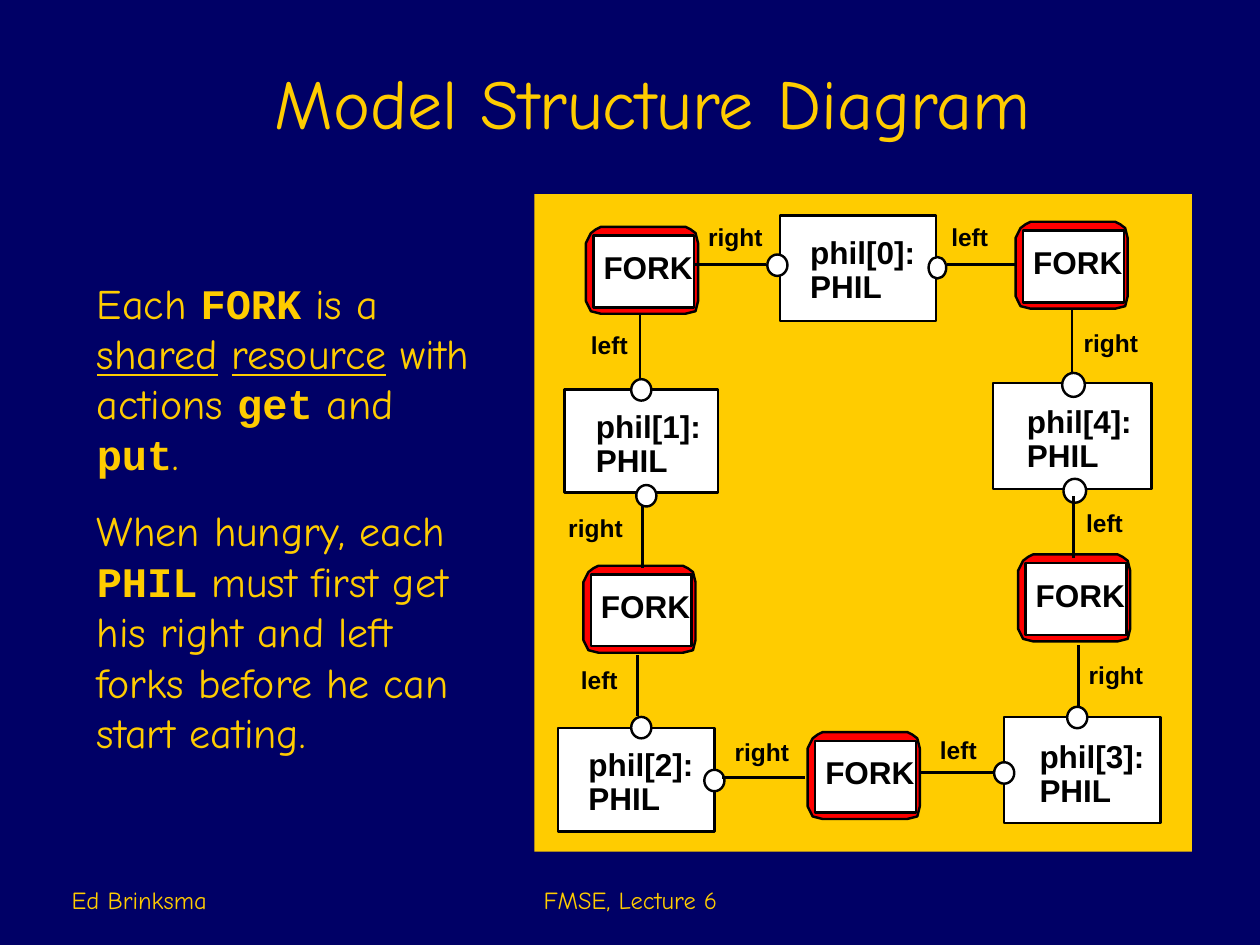
import pptx
import pptx.dml.color
import pptx.enum.shapes
import pptx.enum.text
import pptx.oxml.ns
import pptx.util
from lxml import etree
from pptx.util import Inches

COLORS = {"navy": "000066", "gold": "FFCC00", "red": "FF0000", "white": "FFFFFF", "black": "000000"}
SHAPES = pptx.enum.shapes.MSO_SHAPE
ALIGN = pptx.enum.text.PP_ALIGN
ANCHOR = pptx.enum.text.MSO_ANCHOR

FORK_OUTLINE = [
    (0.12, 0), (0.08, 0.02), (0.04, 0.05), (0.02, 0.09), (0, 0.13), (0, 0.59),
    (0.02, 0.63), (0.04, 0.67), (0.12, 0.69), (0.79, 0.69), (0.87, 0.67),
    (0.89, 0.59), (0.89, 0.13), (0.87, 0.05), (0.83, 0.02), (0.79, 0),
]
PHILS = [
    ("phil[4]:", (7.88, 3.04, 1.26, 0.84), (8.15, 3.19), [(8.43, 2.96, 0.18, 0.19), (8.44, 3.8, 0.18, 0.19)]),
    ("phil[1]:", (4.48, 3.09, 1.22, 0.82), (4.73, 3.23), [(5.01, 3.01, 0.16, 0.17), (5.05, 3.85, 0.16, 0.17)]),
    ("phil[3]:", (7.97, 5.69, 1.24, 0.84), (8.25, 5.85), [(7.89, 6.05, 0.16, 0.17), (8.47, 5.61, 0.16, 0.17)]),
    ("phil[0]:", (6.19, 1.71, 1.24, 0.84), (6.43, 1.85), [(7.37, 2.04, 0.14, 0.17), (6.09, 2.02, 0.16, 0.17)]),
    ("phil[2]:", (4.43, 5.78, 1.24, 0.82), (4.67, 5.91), [(5.01, 5.69, 0.16, 0.17), (5.59, 6.11, 0.16, 0.17)]),
]
FORKS = [(4.65, 1.8), (8.06, 1.76), (6.41, 5.81), (4.63, 4.49), (8.08, 4.4)]
LINKS = [
    (6.08, 2.1, 5.52, 2.1), (8.06, 2.1, 7.52, 2.1), (5.08, 2.5, 5.08, 3), (8.51, 2.45, 8.51, 2.96),
    (8.52, 3.94, 8.52, 4.43), (5.1, 4.01, 5.1, 4.51), (5.06, 5.2, 5.06, 5.68),
    (6.39, 6.17, 5.73, 6.17), (7.9, 6.13, 7.3, 6.13), (8.56, 5.12, 8.56, 5.6),
]
LINK_LABELS = {
    "left": [(7.55, 1.76), (4.69, 2.62), (4.61, 5.28), (8.62, 4.03), (7.46, 5.83)],
    "right": [(5.62, 1.76), (8.6, 2.6), (8.64, 5.24), (4.51, 4.07), (5.83, 5.85)],
}
BODY = [
    [("Each ", ""), ("FORK", "code"), (" is a ", ""), ("shared", "under"), (" ", ""),
     ("resource", "under"), (" with actions ", ""), ("get", "code"), (" and ", ""),
     ("put", "code"), (".", "")],
    [("When hungry, each ", ""), ("PHIL", "code"),
     (" must first get his right and left forks before he can start eating.", "")],
]


class Deck:
    prose, code, label_font = "Comic Neue", "Courier New", "Arial"
    line_width = 1.39

    def __init__(self):
        self.prs = pptx.Presentation()
        self.prs.slide_width, self.prs.slide_height = Inches(10), Inches(7.5)
        self.s = self.prs.slides.add_slide(self.prs.slide_layouts[6])
        fill = self.s.background.fill
        fill.solid()
        fill.fore_color.rgb = self.color("navy")

    def color(self, name):
        return pptx.dml.color.RGBColor.from_string(COLORS[name])

    def paint(self, sp, fill, line):
        sp.shadow.inherit = False
        sp.fill.solid()
        sp.fill.fore_color.rgb = self.color(fill)
        if line:
            sp.line.color.rgb = self.color(line)
            sp.line.width = pptx.util.Pt(self.line_width)
        else:
            sp.line.fill.background()

    def shape(self, kind, box, fill="white", line="black"):
        sp = self.s.shapes.add_shape(kind, *map(Inches, box))
        self.paint(sp, fill, line)

    def outline(self, left, top, points, fill):
        pts = [(Inches(left + x), Inches(top + y)) for x, y in points]
        builder = self.s.shapes.build_freeform(*pts[0], scale=1.0)
        builder.add_line_segments(pts[1:], close=True)
        self.paint(builder.convert_to_shape(), fill, "black")

    def link(self, *ends):
        c = self.s.shapes.add_connector(pptx.enum.shapes.MSO_CONNECTOR.STRAIGHT, *map(Inches, ends))
        c.line.color.rgb = self.color("black")
        c.line.width = pptx.util.Pt(self.line_width)
        etree.SubElement(c._element.spPr, pptx.oxml.ns.qn("a:effectLst"))

    def run(self, p, text, size, font, color, bold=False, underline=False):
        r = p.add_run()
        r.text = text
        r.font.size = pptx.util.Pt(size)
        r.font.name = font
        r.font.bold = bold
        r.font.underline = underline
        r.font.color.rgb = self.color(color)

    def text(self, box, paragraphs, size, align=ALIGN.LEFT, anchor=ANCHOR.TOP):
        tf = self.s.shapes.add_textbox(*map(Inches, box)).text_frame
        tf.word_wrap = True
        tf.vertical_anchor = anchor
        for i, runs in enumerate(paragraphs):
            p = tf.add_paragraph() if i else tf.paragraphs[0]
            p.alignment = align
            if i:
                p.space_before = pptx.util.Pt(15)
            for text, style in runs:
                is_code = style == "code"
                self.run(p, text, size, self.code if is_code else self.prose, "gold",
                         is_code, style == "under")

    def label(self, left, top, text, width, height=0.3, size=18):
        tf = self.s.shapes.add_textbox(*map(Inches, (left, top, width, height))).text_frame
        tf.word_wrap = False
        tf.margin_left = tf.margin_right = tf.margin_top = tf.margin_bottom = 0
        self.run(tf.paragraphs[0], text, size, self.label_font, "black", True)

    def phil(self, name, box, label_at, ports):
        self.shape(SHAPES.RECTANGLE, box)
        for port in ports:
            self.shape(SHAPES.OVAL, port)
        left, top = label_at
        self.label(left, top, name, 0.88)
        self.label(left, top + 0.27, "PHIL", 0.62)

    def fork(self, left, top):
        self.outline(left, top, FORK_OUTLINE, "red")
        self.shape(SHAPES.RECTANGLE, (left + 0.06, top + 0.07, 0.8, 0.57))
        self.label(left + 0.14, top + 0.17, "FORK", 0.74)


def main():
    deck = Deck()
    deck.text((0.93, -0.06, 8.5, 1.25), [[("Model Structure Diagram", "")]], 40, ALIGN.CENTER, ANCHOR.BOTTOM)
    deck.shape(SHAPES.RECTANGLE, (4.24, 1.54, 5.22, 5.22), "gold", None)
    for phil in PHILS:
        deck.phil(*phil)
    for fork in FORKS:
        deck.fork(*fork)
    for link in LINKS:
        deck.link(*link)
    for text, width in (("left", 0.34), ("right", 0.48)):
        for left, top in LINK_LABELS[text]:
            deck.label(left, top, text, width, 0.23, 14)
    deck.text((0.67, 2.15, 3.24, 3.91), BODY, 24)
    deck.text((3.42, 6.81, 3.17, 0.5), [[("FMSE, Lecture 6", "")]], 14, ALIGN.CENTER, ANCHOR.BOTTOM)
    deck.text((0.47, 6.81, 2.08, 0.5), [[("Ed Brinksma", "")]], 14, anchor=ANCHOR.BOTTOM)
    deck.prs.save("out.pptx")


if __name__ == "__main__":
    main()
